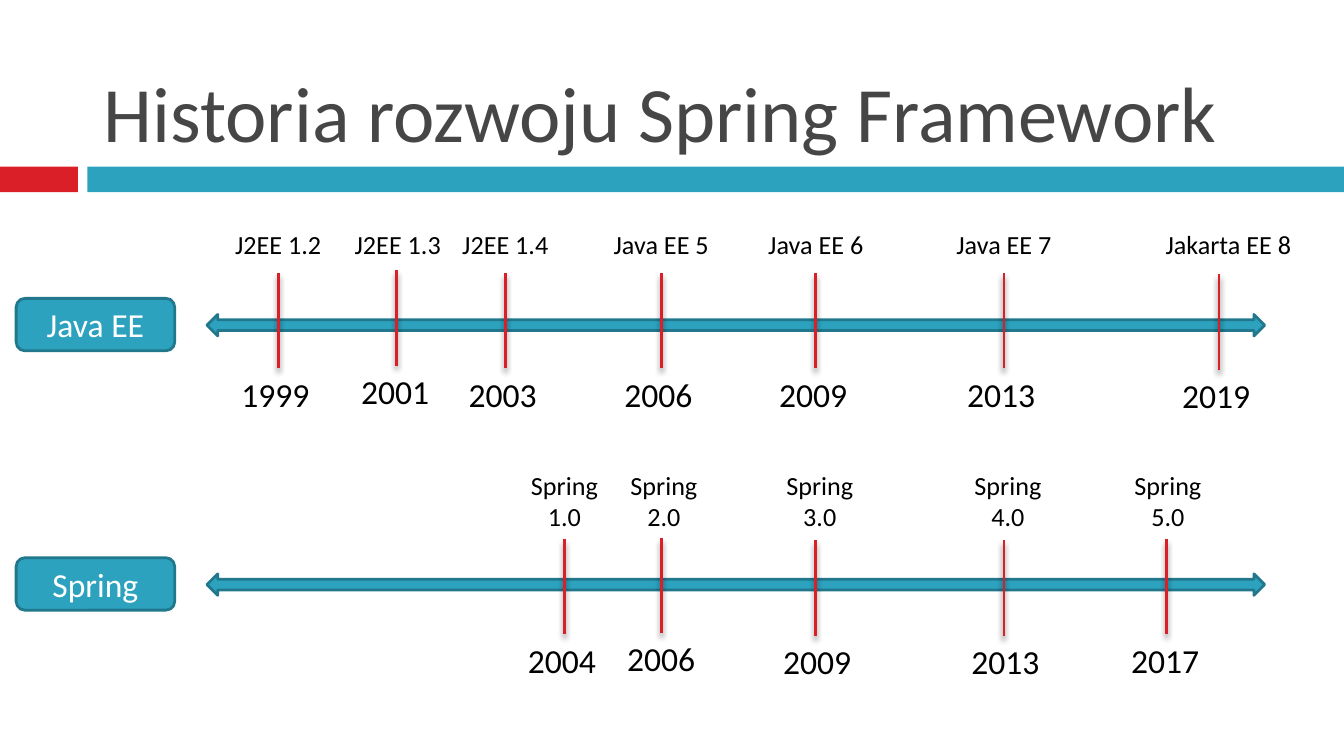
from dataclasses import dataclass

from lxml import etree
from pptx import Presentation
from pptx.dml.color import RGBColor
from pptx.enum import shapes, text
from pptx.oxml import parse_xml
from pptx.oxml.ns import nsdecls
from pptx.shapes.autoshape import Shape
from pptx.slide import Slide
from pptx.util import Inches, Pt


@dataclass(frozen=True)
class Theme:
    font: str = "Calibri"
    red: str = "DA1F28"
    teal: str = "2DA2BF"
    teal_dark: str = "21788D"
    title: str = "464646"
    ink: str = "000000"
    paper: str = "FFFFFF"
    title_size: float = 42
    year_size: float = 18
    label_size: float = 14
    line_width: float = 1.5


@dataclass(frozen=True)
class Milestone:
    label: str
    year: str
    x: float
    tick_top: float
    nudge: float = 0
    label_width: float = 1.18


@dataclass(frozen=True)
class Timeline:
    name: str
    middle: float
    label_top: float
    label_height: float
    milestones: tuple[Milestone, ...]


THEME = Theme()
TEXT_WIDTH = 1.18
TICK_HEIGHT = 0.71

TIMELINES = (
    Timeline("Java EE", 2.42, 1.65, 0.34, (
        Milestone("J2EE 1.2", "1999", 2.07, 2.03),
        Milestone("J2EE 1.3", "2001", 2.95, 2.01, 0.01),
        Milestone("J2EE 1.4", "2003", 3.76, 2.03),
        Milestone("Java EE 5", "2006", 4.92, 2.03),
        Milestone("Java EE 6", "2009", 6.07, 2.03),
        Milestone("Java EE 7", "2013", 7.47, 2.03),
        Milestone("Jakarta EE 8", "2019", 9.07, 2.04, label_width=1.32),
    )),
    Timeline("Spring", 4.35, 3.44, 0.57, (
        Milestone("Spring\n1.0", "2004", 4.2, 4.01),
        Milestone("Spring\n2.0", "2006", 4.92, 4, 0.02),
        Milestone("Spring\n3.0", "2009", 6.07, 4.02, 0.03),
        Milestone("Spring\n4.0", "2013", 7.47, 4.02, 0.03),
        Milestone("Spring\n5.0", "2017", 8.68, 4.01, 0.01),
    )),
)


def write(shape: Shape, words: str, size: float, color: str,
          align: text.PP_ALIGN = text.PP_ALIGN.CENTER, **frame_format) -> None:
    """Put one paragraph per line of words into the shape."""
    frame = shape.text_frame
    frame.text = words
    for name, value in {"word_wrap": True, **frame_format}.items():
        setattr(frame, name, value)
    for para in frame.paragraphs:
        para.alignment = align
        for span in para.runs:
            font_format = {"name": THEME.font, "size": Pt(size)}
            for name, value in font_format.items():
                setattr(span.font, name, value)
            span.font.color.rgb = RGBColor.from_string(color)


def add_block(page: Slide, kind: shapes.MSO_SHAPE, left: float, top: float,
              width: float, height: float, fill: str,
              outline: str | None = None) -> Shape:
    block = page.shapes.add_shape(
        kind, Inches(left), Inches(top), Inches(width), Inches(height))
    block.shadow.inherit = False
    block.fill.solid()
    block.fill.fore_color.rgb = RGBColor.from_string(fill)
    if outline:
        block.line.color.rgb = RGBColor.from_string(outline)
        block.line.width = Pt(THEME.line_width)
    else:
        block.line.fill.background()
    return block


def add_caption(page: Slide, words: str, left: float, top: float,
                width: float, height: float, size: float) -> None:
    box = page.shapes.add_textbox(
        Inches(left), Inches(top), Inches(width), Inches(height))
    write(box, words, size, THEME.ink,
          auto_size=text.MSO_AUTO_SIZE.SHAPE_TO_FIT_TEXT)


def add_tick(page: Slide, x: float, top: float) -> None:
    """Draw a vertical mark with a soft shadow below it."""
    tick = page.shapes.add_connector(
        shapes.MSO_CONNECTOR.STRAIGHT,
        Inches(x), Inches(top), Inches(x), Inches(top + TICK_HEIGHT))
    tick.line.color.rgb = RGBColor.from_string(THEME.red)
    tick.line.width = Pt(THEME.line_width)
    effects = parse_xml(f"<a:effectLst {nsdecls('a')}/>")
    namespace = f"{{{effects.nsmap['a']}}}"
    shadow = etree.SubElement(
        effects, namespace + "outerShdw", blurRad=str(Pt(3)),
        dist=str(Pt(2.4)), dir="5400000", algn="ctr", rotWithShape="0")
    color = etree.SubElement(shadow, namespace + "srgbClr", val=THEME.ink)
    etree.SubElement(color, namespace + "alpha", val="45000")
    tick._element.spPr.append(effects)


def add_milestone(page: Slide, timeline: Timeline, event: Milestone) -> None:
    add_tick(page, event.x, event.tick_top)
    left = event.x - TEXT_WIDTH / 2 + event.nudge
    add_caption(page, event.label, left, timeline.label_top,
                event.label_width, timeline.label_height, THEME.label_size)
    add_caption(page, event.year, left - 0.02, event.tick_top + 0.7,
                TEXT_WIDTH, 0.4, THEME.year_size)


def add_timeline(page: Slide, timeline: Timeline) -> None:
    kinds = shapes.MSO_SHAPE
    add_block(page, kinds.LEFT_RIGHT_ARROW, 1.54, timeline.middle - 0.08,
              7.87, 0.16, THEME.teal, THEME.teal_dark)
    badge = add_block(page, kinds.ROUNDED_RECTANGLE, 0.12,
                      timeline.middle - 0.2, 1.18, 0.39,
                      THEME.teal, THEME.teal_dark)
    write(badge, timeline.name, THEME.year_size, THEME.paper,
          vertical_anchor=text.MSO_ANCHOR.MIDDLE)
    for event in timeline.milestones:
        add_milestone(page, timeline, event)


def add_title(page: Slide, words: str) -> None:
    title = page.shapes.title
    place = {"left": 0.67, "top": 0.13, "width": 8.92, "height": 1.1}
    for name, value in place.items():
        setattr(title, name, Inches(value))
    write(title, words, THEME.title_size, THEME.title, text.PP_ALIGN.LEFT,
          vertical_anchor=text.MSO_ANCHOR.BOTTOM,
          auto_size=text.MSO_AUTO_SIZE.NONE)


def main() -> None:
    deck = Presentation()
    deck.slide_width = Inches(10)
    deck.slide_height = deck.slide_width * 9 // 16
    page = deck.slides.add_slide(deck.slide_layouts.get_by_name("Title Only"))
    for left, width, fill in ((0, 0.58, THEME.red), (0.65, 9.35, THEME.teal)):
        add_block(page, shapes.MSO_SHAPE.RECTANGLE, left, 1.24, width, 0.19, fill)
    add_title(page, "Historia rozwoju Spring Framework")
    for timeline in TIMELINES:
        add_timeline(page, timeline)
    deck.save("out.pptx")


if __name__ == "__main__":
    main()
